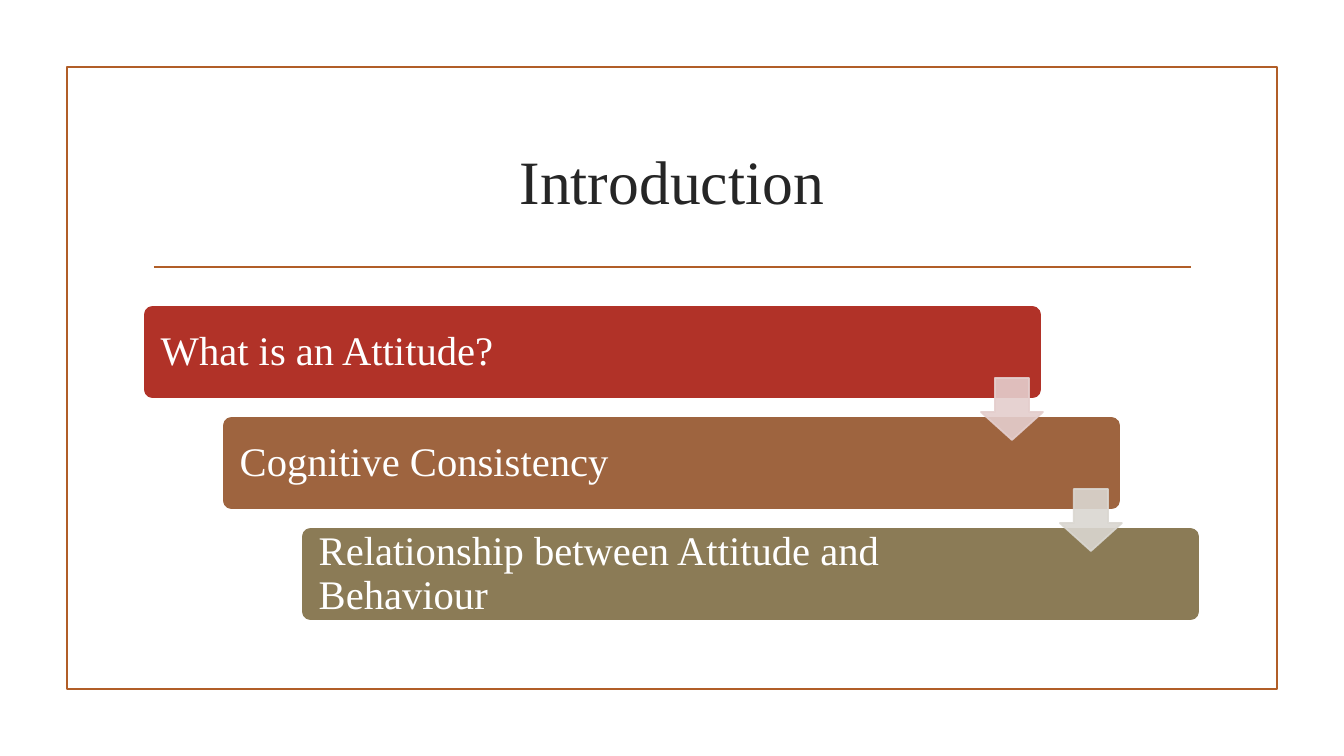
"""Build the Introduction slide: a titled frame with three stepped topic bars."""
from dataclasses import dataclass

from lxml.etree import SubElement
from pptx import Presentation
from pptx.dml.color import RGBColor
from pptx.enum.shapes import MSO_CONNECTOR, MSO_SHAPE
from pptx.enum.text import MSO_ANCHOR, PP_ALIGN
from pptx.oxml.ns import qn
from pptx.util import Pt

EMU_PER_PX = 914400 / 100.8


@dataclass(frozen=True)
class Theme:
    """Colours, font and sizes of the slide."""
    font: str = "Times New Roman"
    accent: str = "B15E28"
    ink: str = "262626"
    paper: str = "FFFFFF"
    bars: tuple = ("B13228", "9E643F", "8B7B56")
    arrows: tuple = ("E4CECD", "DAD7D1")
    title_size: int = 44
    topic_size: int = 29
    line_width: float = 1.25
    arrow_opacity: int = 90


THEME = Theme()
TOPICS = (
    "What is an Attitude?",
    "Cognitive Consistency",
    "Relationship between Attitude and Behaviour",
)
BAR_LEFT, BAR_TOP, BAR_WIDTH, BAR_HEIGHT = 143, 305, 899, 94
STEP_X, STEP_Y = 79, 111
ARROW_DX, ARROW_DY, ARROW_SIZE = 838, 73, 62


def px(*lengths):
    """Turn pixel lengths into a list of EMU lengths."""
    return [round(length * EMU_PER_PX) for length in lengths]


def rgb(colour):
    """Turn a hex string into a colour."""
    return RGBColor.from_string(colour)


def style_line(line, colour):
    """Give a line its colour and the common width."""
    line.color.rgb = rgb(colour)
    line.width = Pt(THEME.line_width)


def set_opacity(fill_parent, percent):
    """Set the opacity of the solid fill under an element."""
    colour = fill_parent.find(qn("a:solidFill"))[0]
    SubElement(colour, qn("a:alpha")).set("val", str(percent * 1000))


def add_preset(slide, kind, box, fill, line, adjustments=()):
    """Add a preset shape without shadow."""
    shape = slide.shapes.add_shape(kind, *px(*box))
    shape.shadow.inherit = False
    for index, value in enumerate(adjustments):
        shape.adjustments[index] = value
    if fill:
        shape.fill.solid()
        shape.fill.fore_color.rgb = rgb(fill)
    else:
        shape.fill.background()
    style_line(shape.line, line)
    return shape


def write_text(shape, text, *, size, colour, align=PP_ALIGN.LEFT,
               spacing=1.0, insets=(10, 5, 10, 5)):
    """Write one vertically centred paragraph into a shape."""
    frame = shape.text_frame
    frame.word_wrap = True
    frame.vertical_anchor = MSO_ANCHOR.MIDDLE
    (frame.margin_left, frame.margin_top,
     frame.margin_right, frame.margin_bottom) = px(*insets)
    paragraph = frame.paragraphs[0]
    paragraph.text = text
    paragraph.alignment = align
    paragraph.line_spacing = spacing
    paragraph.font.name = THEME.font
    paragraph.font.size = Pt(size)
    paragraph.font.color.rgb = rgb(colour)


def add_rule(slide, left, right, y):
    """Add the horizontal rule below the title."""
    rule = slide.shapes.add_connector(
        MSO_CONNECTOR.STRAIGHT, *px(left, y, right, y))
    style_line(rule.line, THEME.accent)
    SubElement(rule.element.spPr, qn("a:effectLst"))


def add_topic(slide, index, topic):
    """Add the bar of one topic at its step."""
    box = (BAR_LEFT + index * STEP_X, BAR_TOP + index * STEP_Y,
           BAR_WIDTH, BAR_HEIGHT)
    bar = add_preset(slide, MSO_SHAPE.ROUNDED_RECTANGLE, box,
                     THEME.bars[index], THEME.paper, (0.1,))
    write_text(bar, topic, size=THEME.topic_size, colour=THEME.paper,
               spacing=0.9, insets=(15, 0, 155, 0))


def add_step_arrow(slide, index, colour):
    """Add the translucent arrow from one bar to the next."""
    box = (BAR_LEFT + index * STEP_X + ARROW_DX,
           BAR_TOP + index * STEP_Y + ARROW_DY, ARROW_SIZE, ARROW_SIZE)
    arrow = add_preset(slide, MSO_SHAPE.DOWN_ARROW, box, colour, colour,
                       (0.55, 0.45))
    properties = arrow.element.spPr
    for fill_parent in (properties, properties.find(qn("a:ln"))):
        set_opacity(fill_parent, THEME.arrow_opacity)


def main():
    """Build and save the slide."""
    presentation = Presentation()
    presentation.slide_width, presentation.slide_height = px(1344, 756)
    slide = presentation.slides.add_slide(presentation.slide_layouts[6])
    slide.background.fill.solid()
    slide.background.fill.fore_color.rgb = rgb(THEME.paper)

    add_preset(slide, MSO_SHAPE.RECTANGLE, (67, 67, 1210, 622),
               None, THEME.accent)
    add_rule(slide, 154, 1191, 267)
    title = slide.shapes.add_textbox(*px(143, 108, 1058, 144))
    write_text(title, "Introduction", size=THEME.title_size,
               colour=THEME.ink, align=PP_ALIGN.CENTER)
    for index, topic in enumerate(TOPICS):
        add_topic(slide, index, topic)
    for index, colour in enumerate(THEME.arrows):
        add_step_arrow(slide, index, colour)
    presentation.save("out.pptx")


if __name__ == "__main__":
    main()
